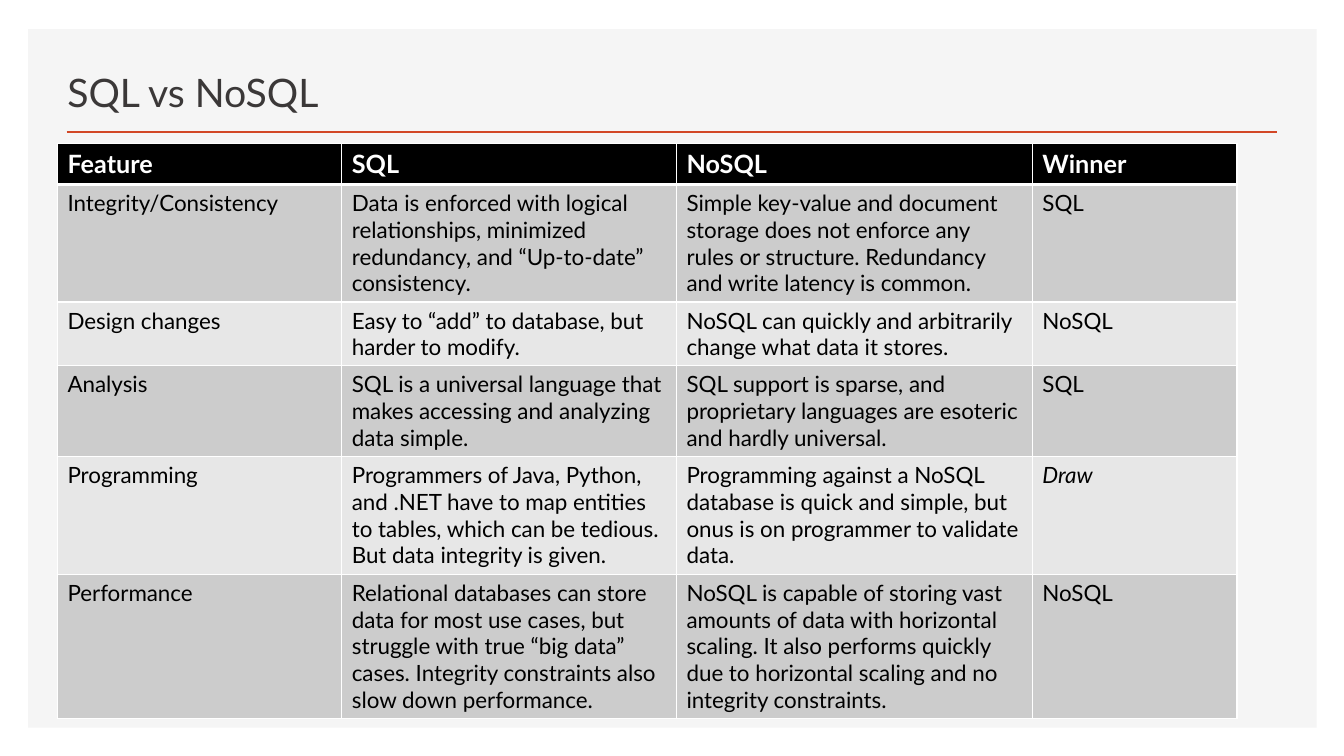
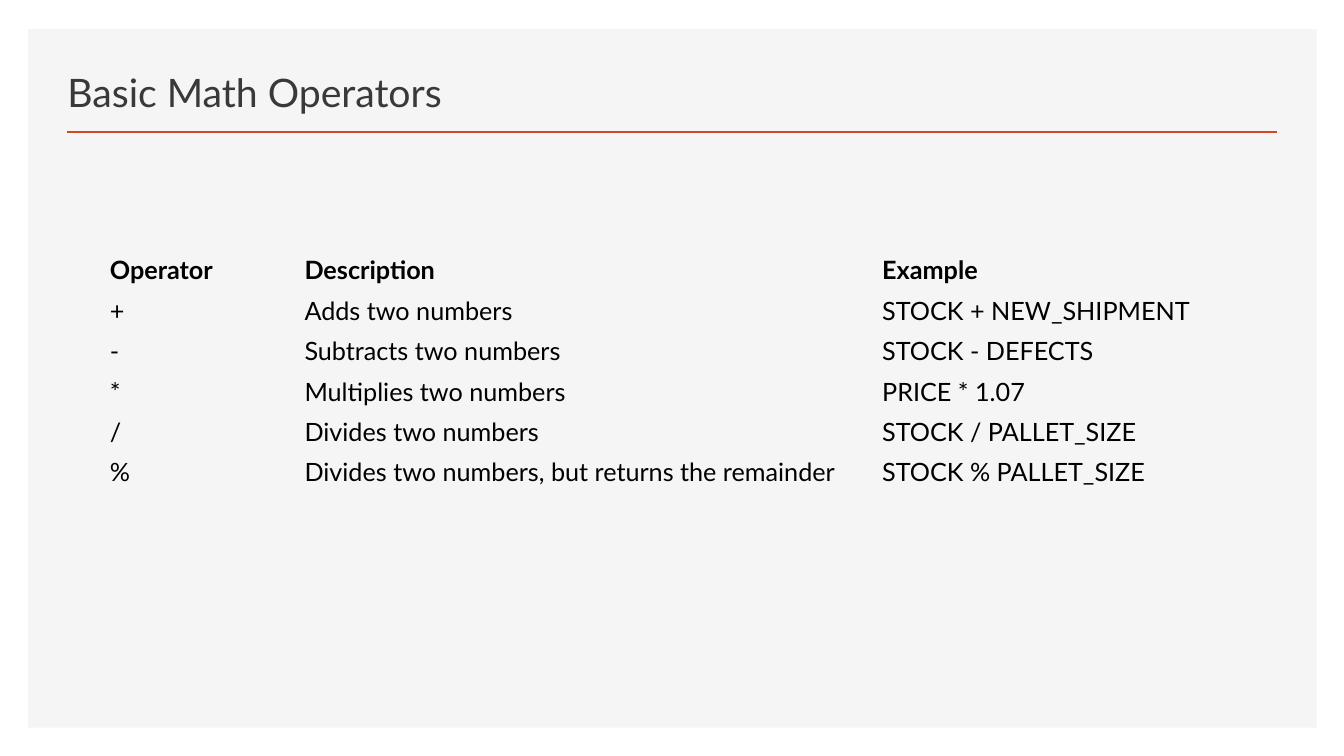
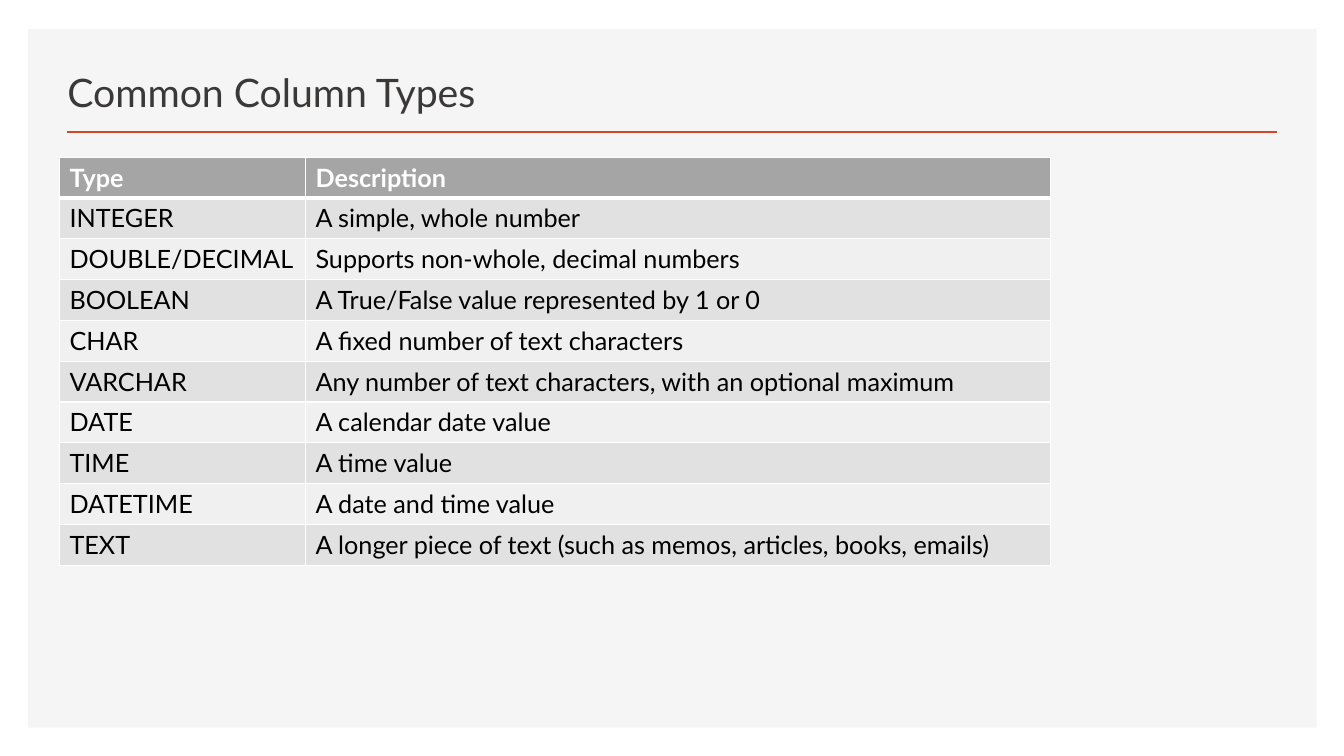
from dataclasses import dataclass

from lxml import etree
from pptx import Presentation
from pptx.dml.color import RGBColor
from pptx.enum.shapes import MSO_CONNECTOR, MSO_SHAPE
from pptx.enum.text import MSO_ANCHOR
from pptx.oxml.ns import qn
from pptx.util import Inches, Pt

BLANK_LAYOUT = 6
RECTANGLE = MSO_SHAPE.RECTANGLE
STRAIGHT = MSO_CONNECTOR.STRAIGHT
TOP, MIDDLE, BOTTOM = MSO_ANCHOR.TOP, MSO_ANCHOR.MIDDLE, MSO_ANCHOR.BOTTOM


@dataclass(frozen=True)
class Theme:
    font: str = "Lato"
    panel: str = "F5F5F5"
    accent: str = "D24726"
    title: str = "3B3838"
    ink: str = "000000"
    white: str = "FFFFFF"
    title_size: int = 28
    header_size: int = 18
    small_size: int = 16
    rule_width: int = 2
    grid_width: int = 1
    header_rule_width: int = 3


@dataclass(frozen=True)
class Bands:
    """Fills of the header row and of the alternating body rows."""
    header: str
    odd: str
    even: str

    def fill(self, row):
        if row == 0:
            return self.header
        return self.odd if row % 2 else self.even


BLACK_BANDS = Bands("000000", "CCCCCC", "E7E7E7")
GREY_BANDS = Bands("A5A5A5", "E1E1E1", "F0F0F0")


class SlideBuilder:
    def __init__(self, deck, theme):
        self.deck = deck
        self.theme = theme
        self.page = None

    def new_page(self, title):
        self.page = self.deck.slides.add_slide(self.deck.slide_layouts[BLANK_LAYOUT])
        self.panel(0.28, 0.29, 12.78, 6.93)
        self.rule(0.66, 12.67, 1.31)
        self.title(title)

    def panel(self, left, top, width, height):
        panel = self.page.shapes.add_shape(
            RECTANGLE, Inches(left), Inches(top), Inches(width), Inches(height))
        panel.shadow.inherit = False
        panel.fill.solid()
        panel.fill.fore_color.rgb = RGBColor.from_string(self.theme.panel)
        panel.line.fill.background()

    def rule(self, left, right, y):
        rule = self.page.shapes.add_connector(
            STRAIGHT, Inches(left), Inches(y), Inches(right), Inches(y))
        rule.line.color.rgb = RGBColor.from_string(self.theme.accent)
        rule.line.width = Pt(self.theme.rule_width)
        properties = rule.element.find(qn("p:spPr"))
        etree.SubElement(properties, qn("a:effectLst"))

    def title(self, text):
        box = self.page.shapes.add_textbox(
            Inches(0.57), Inches(0.49), Inches(6.69), Inches(0.7))
        frame = box.text_frame
        frame.word_wrap = True
        frame.vertical_anchor = BOTTOM
        self.span(frame.paragraphs[0], text, self.theme.title_size, self.theme.title)

    def span(self, para, text, size, color, bold=False, italic=False):
        span = para.add_run()
        span.text = text
        font = span.font
        font.name, font.size = self.theme.font, Pt(size)
        font.bold, font.italic = bold, italic
        font.color.rgb = RGBColor.from_string(color)

    def table(self, left, top, widths, heights, rows, body_size,
              bands=None, anchor=TOP, italics=()):
        """Draw a table; without bands it has neither fills nor borders."""
        theme = self.theme
        frame = self.page.shapes.add_table(
            len(rows), len(widths), Inches(left), Inches(top),
            Inches(sum(widths)), Inches(sum(heights)))
        table = frame.table
        table.horz_banding = False
        table.first_row = bands is not None
        for column, width in zip(table.columns, widths):
            column.width = Inches(width)
        for row, height in zip(table.rows, heights):
            row.height = Inches(height)

        # Cell text and fills
        for r, texts in enumerate(rows):
            header = r == 0
            color = theme.white if header and bands else theme.ink
            size = theme.header_size if header else body_size
            for c, text in enumerate(texts):
                cell = table.cell(r, c)
                cell.vertical_anchor = anchor
                self.span(cell.text_frame.paragraphs[0], text, size, color,
                          bold=header, italic=text in italics)
                if bands:
                    cell.fill.solid()
                    cell.fill.fore_color.rgb = RGBColor.from_string(bands.fill(r))
                else:
                    cell.fill.background()
        self.grid(frame, visible=bands is not None)

    def grid(self, frame, visible):
        """White cell borders, heavier below the header, or none at all."""
        thin, thick = self.theme.grid_width, self.theme.header_rule_width
        for r, row in enumerate(frame.element.findall(f".//{qn('a:tr')}")):
            sides = {"L": thin, "R": thin,
                     "T": thick if r == 1 else thin,
                     "B": thick if r == 0 else thin}
            for properties in row.findall(f".//{qn('a:tcPr')}"):
                for position, (side, width) in enumerate(sides.items()):
                    border = etree.Element(qn(f"a:ln{side}"))
                    if visible:
                        border.set("w", str(int(Pt(width))))
                        fill = etree.SubElement(border, qn("a:solidFill"))
                        etree.SubElement(fill, qn("a:srgbClr"), val=self.theme.white)
                    else:
                        etree.SubElement(border, qn("a:noFill"))
                    properties.insert(position, border)


COMPARISON = [
    ("Feature", "SQL", "NoSQL", "Winner"),
    ("Integrity/Consistency",
     "Data is enforced with logical relationships, minimized redundancy, "
     "and “Up-to-date” consistency.",
     "Simple key-value and document storage does not enforce any rules or "
     "structure. Redundancy and write latency is common.",
     "SQL"),
    ("Design changes",
     "Easy to “add” to database, but harder to modify.",
     "NoSQL can quickly and arbitrarily change what data it stores.",
     "NoSQL"),
    ("Analysis",
     "SQL is a universal language that makes accessing and analyzing data simple.",
     "SQL support is sparse, and proprietary languages are esoteric and "
     "hardly universal.",
     "SQL"),
    ("Programming",
     "Programmers of Java, Python, and .NET have to map entities to tables, "
     "which can be tedious. But data integrity is given.",
     "Programming against a NoSQL database is quick and simple, but onus is on "
     "programmer to validate data.",
     "Draw"),
    ("Performance",
     "Relational databases can store data for most use cases, but struggle with "
     "true “big data” cases. Integrity constraints also slow down performance.",
     "NoSQL is capable of storing vast amounts of data with horizontal scaling. "
     "It also performs quickly due to horizontal scaling and no integrity "
     "constraints.",
     "NoSQL"),
]

OPERATORS = [
    ("Operator", "Description", "Example"),
    ("+", "Adds two numbers", "STOCK + NEW_SHIPMENT"),
    ("-", "Subtracts two numbers", "STOCK - DEFECTS"),
    ("*", "Multiplies two numbers", "PRICE * 1.07"),
    ("/", "Divides two numbers", "STOCK / PALLET_SIZE"),
    ("%", "Divides two numbers, but returns the remainder", "STOCK % PALLET_SIZE"),
]

COLUMN_TYPES = [
    ("Type", "Description"),
    ("INTEGER", "A simple, whole number"),
    ("DOUBLE/DECIMAL", "Supports non-whole, decimal numbers"),
    ("BOOLEAN", "A True/False value represented by 1 or 0"),
    ("CHAR", "A fixed number of text characters"),
    ("VARCHAR", "Any number of text characters, with an optional maximum"),
    ("DATE", "A calendar date value"),
    ("TIME", "A time value"),
    ("DATETIME", "A date and time value"),
    ("TEXT", "A longer piece of text (such as memos, articles, books, emails)"),
]


def main():
    deck = Presentation()
    deck.slide_width, deck.slide_height = Inches(13.33), Inches(7.5)
    theme = Theme()
    builder = SlideBuilder(deck, theme)

    # Comparison of database families
    builder.new_page("SQL vs NoSQL")
    builder.table(0.57, 1.42, [2.82, 3.32, 3.53, 2.03],
                  [0.41, 1.16, 0.63, 0.9, 1.16, 1.43], COMPARISON,
                  theme.small_size, BLACK_BANDS, italics=("Draw",))

    # Arithmetic operators
    builder.new_page("Basic Math Operators")
    builder.table(0.99, 2.48, [1.93, 5.73, 3.83], [0.4] * len(OPERATORS),
                  OPERATORS, theme.header_size, anchor=MIDDLE)

    # Column types
    builder.new_page("Common Column Types")
    row_height = 4.05 / len(COLUMN_TYPES)
    builder.table(0.59, 1.56, [2.44, 7.39], [row_height] * len(COLUMN_TYPES),
                  COLUMN_TYPES, theme.header_size, GREY_BANDS)

    deck.save("out.pptx")


if __name__ == "__main__":
    main()
